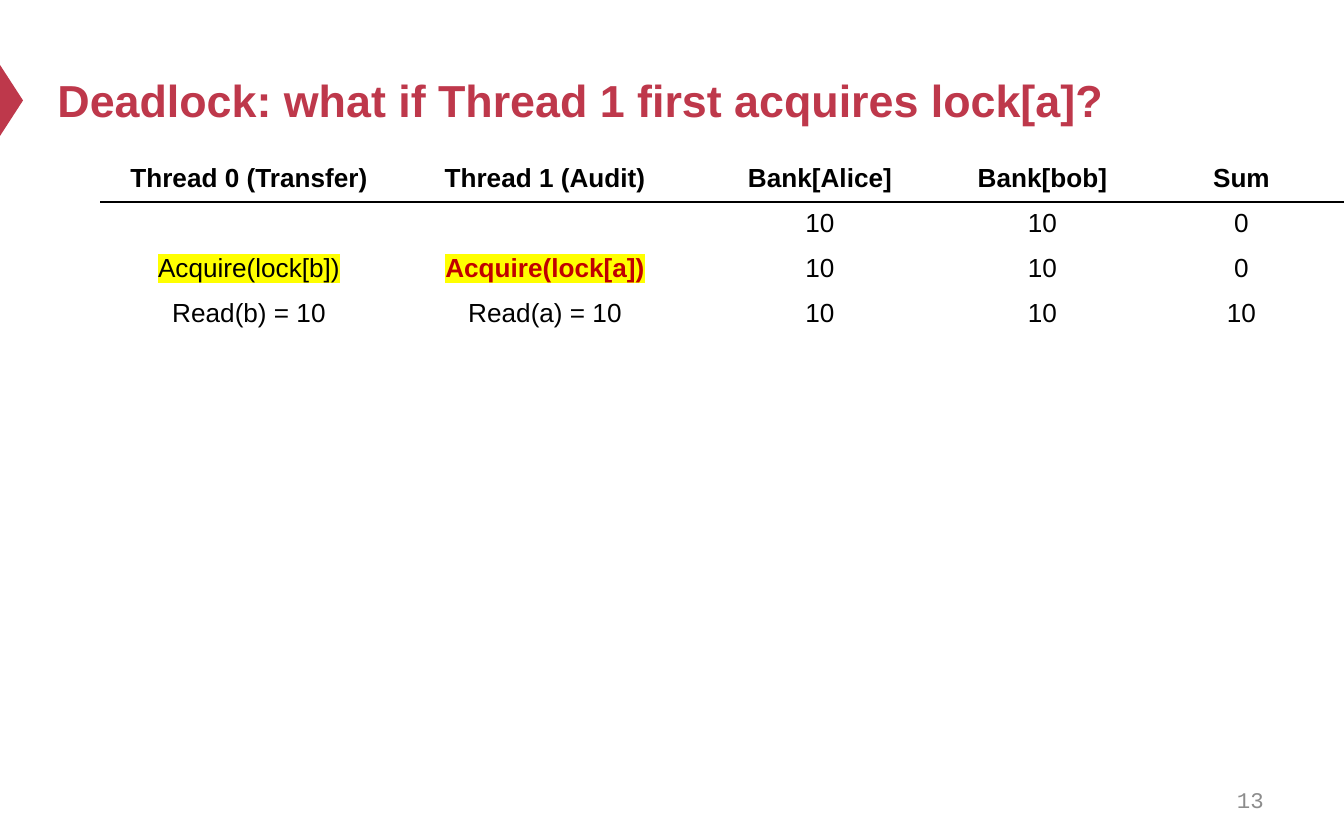
from lxml.etree import SubElement
from pptx import Presentation
from pptx.dml.color import RGBColor
from pptx.enum.shapes import MSO_SHAPE
from pptx.enum.text import MSO_ANCHOR, MSO_AUTO_SIZE, PP_ALIGN
from pptx.oxml.ns import qn
from pptx.util import Emu, Pt

THEME = {
    "title": {"name": "Arial", "size": Pt(24), "bold": True, "color": "BE384B"},
    "header": {"name": "Arial", "size": Pt(14), "bold": True, "color": "000000"},
    "body": {"name": "Arial", "size": Pt(14), "bold": False, "color": "000000"},
    "alert": {"name": "Arial", "size": Pt(14), "bold": True, "color": "C00000"},
    "number": {"name": "Courier New", "size": Pt(12), "bold": False, "color": "8C8C8C"},
    "accent": "BE384B",
    "highlight": "FFFF00",
    "rule": "000000",
    "border": "FFFFFF",
}
EMU_PER_PX = 914400 / 134.4


def px(length):
    return Emu(round(length * EMU_PER_PX))


def write(paragraph, text, style, alignment):
    paragraph.alignment = alignment
    run = paragraph.add_run()
    run.text = text
    for name, value in THEME[style].items():
        if name == "color":
            run.font.color.rgb = RGBColor.from_string(value)
        else:
            setattr(run.font, name, value)
    return run


presentation = Presentation()
presentation.slide_width, presentation.slide_height = px(1344), px(840)
slide = presentation.slides.add_slide(presentation.slide_layouts[5])

# Marker at the left edge
marker = slide.shapes.add_shape(MSO_SHAPE.ISOSCELES_TRIANGLE, px(-24), px(89), px(71), px(23))
marker.rotation = 90
marker.shadow.inherit = False
marker.fill.solid()
marker.fill.fore_color.rgb = RGBColor.from_string(THEME["accent"])
marker.line.fill.background()

# Title
title = slide.shapes.title
title.left, title.top, title.width, title.height = px(44), px(34), px(1210), px(132)
title.text_frame.auto_size = MSO_AUTO_SIZE.NONE
title.text_frame.vertical_anchor = MSO_ANCHOR.MIDDLE
write(title.text_frame.paragraphs[0], "Deadlock: what if Thread 1 first acquires lock[a]?",
      "title", PP_ALIGN.LEFT)

# Slide number
number = slide.shapes.add_textbox(px(964), px(778), px(313), px(44))
number.text_frame.word_wrap = True
number.text_frame.vertical_anchor = MSO_ANCHOR.MIDDLE
write(number.text_frame.paragraphs[0], "13", "number", PP_ALIGN.RIGHT)

# Schedule table: header, three steps and nine steps left open
steps = [
    ["Thread 0 (Transfer)", "Thread 1 (Audit)", "Bank[Alice]", "Bank[bob]", "Sum"],
    ["", "", "10", "10", "0"],
    ["Acquire(lock[b])", "Acquire(lock[a])", "10", "10", "0"],
    ["Read(b) = 10", "Read(a) = 10", "10", "10", "10"],
] + [[""] * 5] * 9
column_widths = [296, 296, 254, 191, 207]
row_heights = [43] * 4 + [52] * 9

table = slide.shapes.add_table(len(steps), len(column_widths), px(101), px(157),
                               px(sum(column_widths)), px(sum(row_heights))).table
table.first_row = table.horz_banding = False
for column, width in zip(table.columns, column_widths):
    column.width = px(width)

for row_index, (row, height, texts) in enumerate(zip(table.rows, row_heights, steps)):
    row.height = px(height)
    for cell, text in zip(row.cells, texts):
        # Borders: only the rule under the header is black
        properties = cell._tc.get_or_add_tcPr()
        for side in ("lnL", "lnR", "lnT", "lnB"):
            is_rule = (row_index, side) in ((0, "lnB"), (1, "lnT"))
            line = SubElement(properties, qn(f"a:{side}"), w=str(Pt(1)))
            fill = SubElement(line, qn("a:solidFill"))
            SubElement(fill, qn("a:srgbClr"), val=THEME["rule" if is_rule else "border"])
        cell.fill.background()

        # Text, with the lock calls highlighted
        paragraph = cell.text_frame.paragraphs[0]
        if text:
            style = "header" if row_index == 0 else "alert" if text == "Acquire(lock[a])" else "body"
            run = write(paragraph, text, style, PP_ALIGN.CENTER)
            if text.startswith("Acquire"):
                run_properties = run._r.get_or_add_rPr()
                highlight = SubElement(run_properties, qn("a:highlight"))
                SubElement(highlight, qn("a:srgbClr"), val=THEME["highlight"])
                run_properties.find(qn("a:solidFill")).addnext(highlight)
        elif row_index == 1:
            SubElement(paragraph._p, qn("a:endParaRPr"), sz="1400")

presentation.save("out.pptx")
